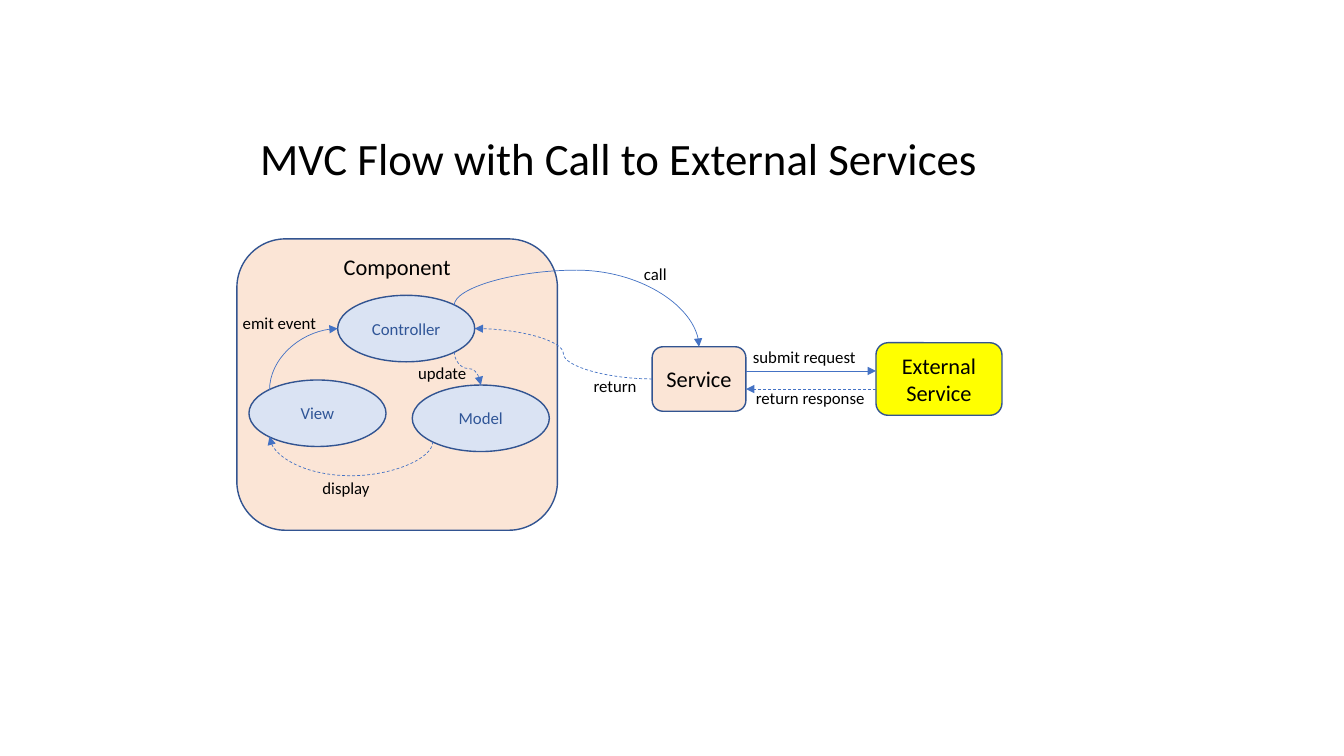
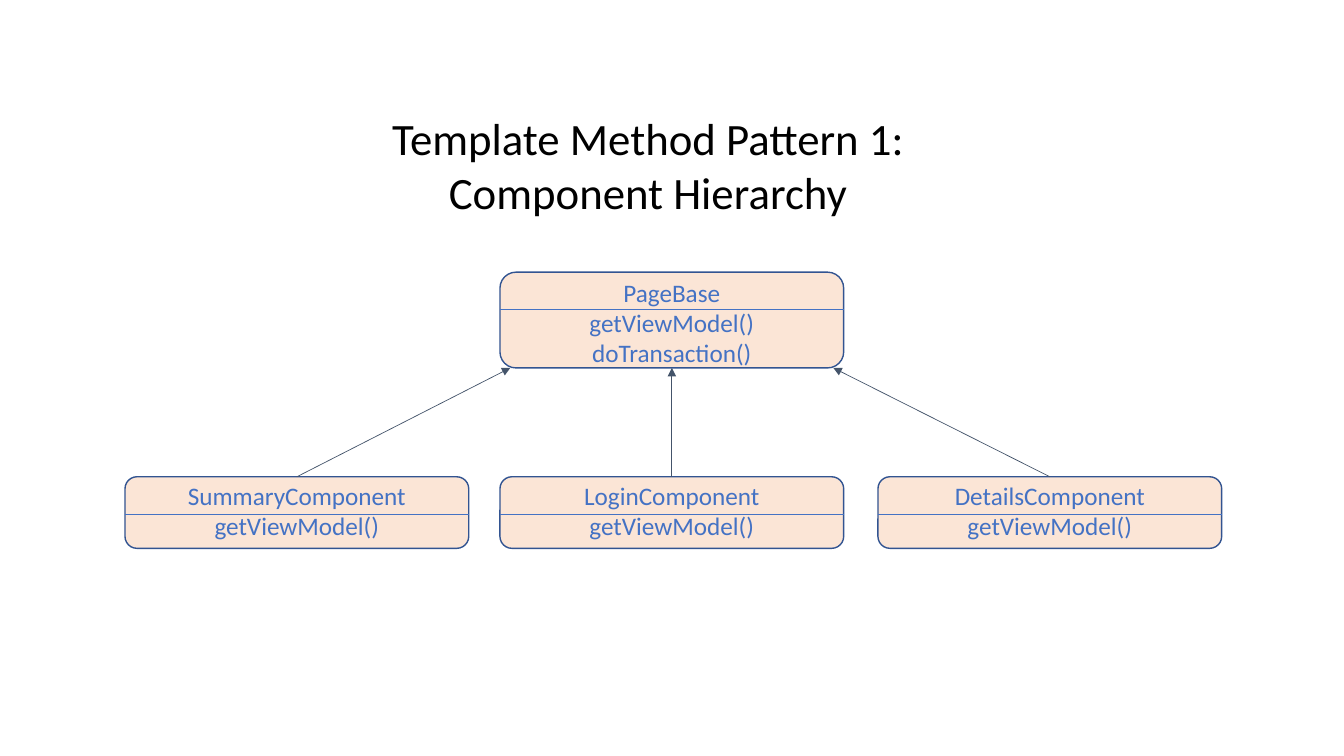
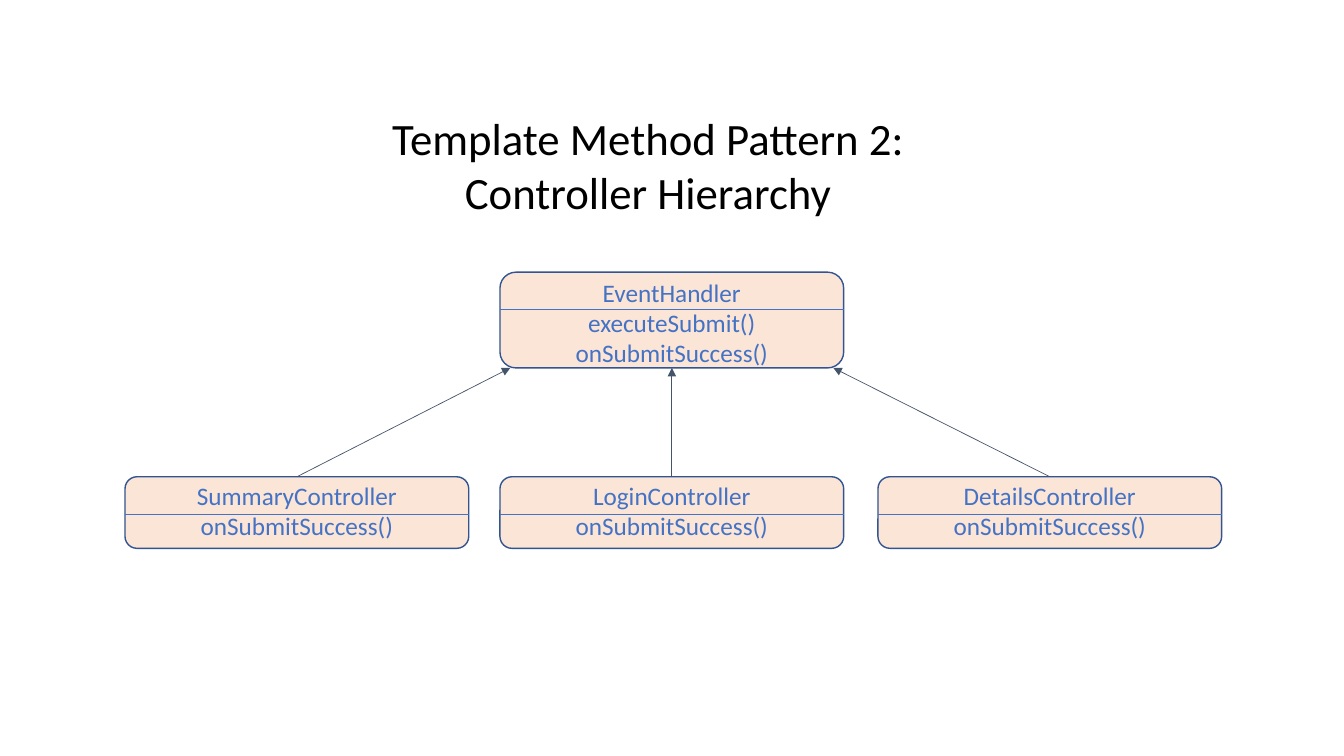
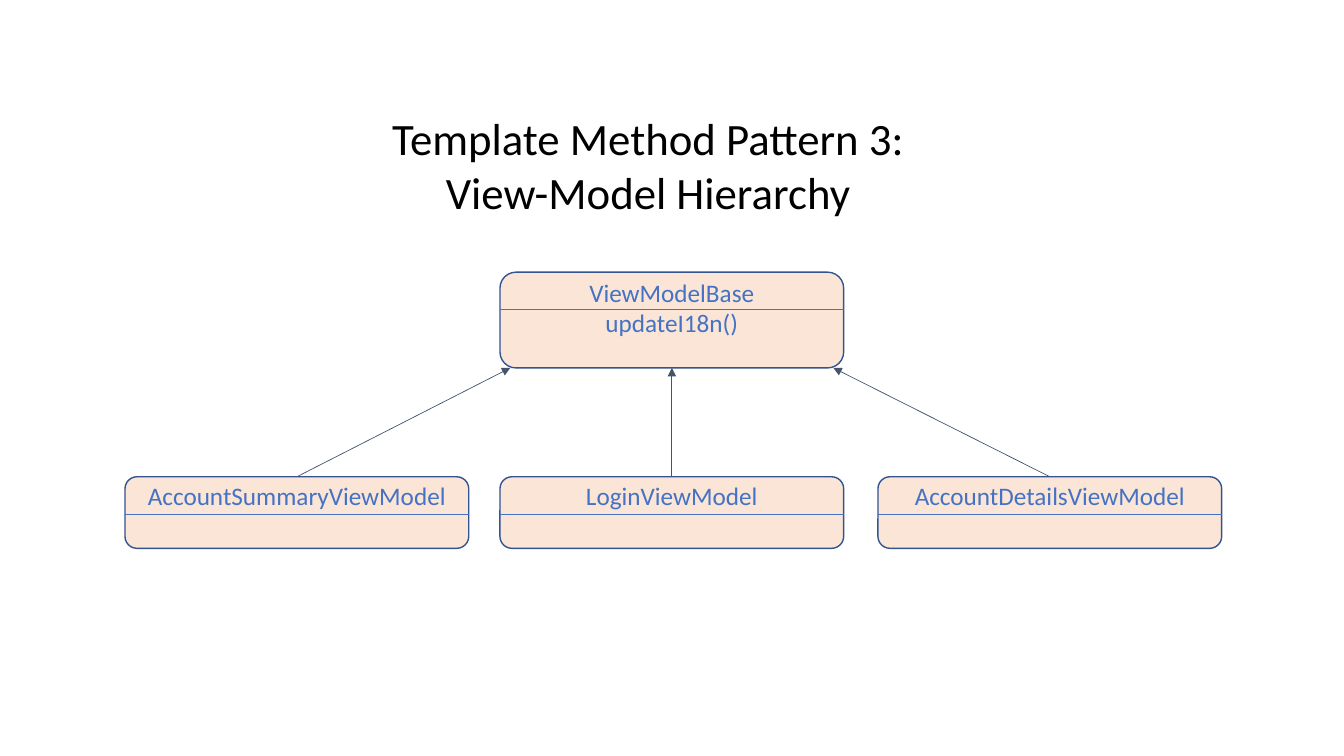
from collections import namedtuple

from lxml.etree import SubElement
from pptx import Presentation
from pptx.dml.color import RGBColor
from pptx.enum.dml import MSO_LINE_DASH_STYLE as Dash
from pptx.enum.shapes import MSO_AUTO_SHAPE_TYPE as Shape, MSO_CONNECTOR_TYPE as Link
from pptx.enum.text import MSO_ANCHOR as Anchor, PP_ALIGN as Align
from pptx.oxml.ns import qn
from pptx.util import Inches, Pt

CELL = 0.1
COLUMNS, ROWS = 133.33, 75
FONT = "Calibri"
BLACK, EDGE, BLUE, NAVY, SLATE = "000000", "325491", "4472C4", "2F5597", "44546A"
PEACH, PALE, YELLOW = "FBE5D6", "DAE3F3", "FFFF00"


class Box(namedtuple("Box", "left top width height")):
    def inside(self, left, top, width, height):
        return Box(self.left + left, self.top + top, width, height)

    def point(self, across, down):
        return self.left + across * self.width, self.top + down * self.height


PAGE = Box(0, 0, COLUMNS, ROWS)


def cells(*values):
    return [Inches(value * CELL) for value in values]


def color(text):
    return RGBColor.from_string(text)


def write(frame, lines, size, ink, align, anchor):
    frame.word_wrap = True
    frame.vertical_anchor = anchor
    frame.text = "\n".join(lines)
    for para in frame.paragraphs:
        para.alignment = align
        for span in para.runs:
            span.font.name = FONT
            span.font.size = Pt(size)
            span.font.color.rgb = color(ink)


def add_title(page, box, lines, align):
    title = page.shapes.title
    title.left, title.top, title.width, title.height = cells(*box)
    write(title.text_frame, lines, 32, BLACK, align, Anchor.TOP)


def add_label(page, box, text):
    label = page.shapes.add_textbox(*cells(*box))
    write(label.text_frame, [text], 12, BLACK, Align.LEFT, Anchor.TOP)


def add_node(shapes, kind, box, lines, fill, size, ink, anchor=Anchor.MIDDLE):
    node = shapes.add_shape(kind, *cells(*box))
    node.shadow.inherit = False
    node.fill.solid()
    node.fill.fore_color.rgb = color(fill)
    node.line.color.rgb = color(EDGE)
    node.line.width = Pt(1)
    if anchor == Anchor.TOP:
        node.text_frame.margin_top = 0
    write(node.text_frame, lines, size, ink, Align.CENTER, anchor)


def add_line(shapes, start, end, ink=BLUE, kind=Link.STRAIGHT, dashed=False, arrow=True):
    line = shapes.add_connector(kind, *cells(*start, *end))
    line.line.color.rgb = color(ink)
    line.line.width = Pt(0.5)
    if dashed:
        line.line.dash_style = Dash.DASH
    properties = line._element.spPr
    if arrow:
        SubElement(properties.find(qn("a:ln")), qn("a:tailEnd"), type="triangle")
    SubElement(properties, qn("a:effectLst"))
    return line


def add_upright_curve(shapes, start, end, bend=None, dashed=False):
    (x1, y1), (x2, y2) = start, end
    middle_x, middle_y = (x1 + x2) / 2, (y1 + y2) / 2
    half_x, half_y = (y1 - y2) / 2, (x2 - x1) / 2
    curve = add_line(shapes, (middle_x - half_x, middle_y - half_y),
                     (middle_x + half_x, middle_y + half_y),
                     kind=Link.CURVE, dashed=dashed)
    properties = curve._element.spPr
    properties.find(qn("a:xfrm")).set("rot", str(270 * 60000))
    geometry = properties.find(qn("a:prstGeom"))
    if bend is None:
        geometry.set("prst", "curvedConnector2")
    else:
        share = round((bend - y1) / (y2 - y1) * 100000)
        SubElement(geometry.find(qn("a:avLst")), qn("a:gd"), name="adj1", fmla=f"val {share}")


def add_component(page, box):
    add_node(page.shapes, Shape.ROUNDED_RECTANGLE, box, ["Component"],
             PEACH, 16, BLACK, Anchor.TOP)
    spots = {"Controller": (10, 5.6), "Model": (17.4, 14.5), "View": (1.2, 14)}
    ovals = {name: box.inside(*spot, 13.6, 6.6) for name, spot in spots.items()}
    for name, oval in ovals.items():
        add_node(page.shapes, Shape.OVAL, oval, [name], PALE, 12, NAVY)
    controller, model, view = ovals.values()

    add_upright_curve(page.shapes, view.point(0.15, 0.15), controller.point(0, 0.5))
    start, end = controller.point(0.85, 0.85), model.point(0.5, 0)
    add_upright_curve(page.shapes, start, end, (start[1] + end[1]) / 2, dashed=True)
    add_upright_curve(page.shapes, model.point(0.15, 0.85), view.point(0.15, 0.85),
                      box.top + 23.5, dashed=True)
    for text, left, top in (("emit event", -0.4, 6.8), ("update", 17, 11.8), ("display", 7.5, 23.2)):
        add_label(page, box.inside(left, top, 10, 3), text)
    return controller


def add_services(page, box):
    service = box.inside(6.8, 1, 9.3, 6.4)
    external = box.inside(29, 0.6, 12.5, 7.2)
    add_node(page.shapes, Shape.ROUNDED_RECTANGLE, service, ["Service"], PEACH, 16, BLACK)
    add_node(page.shapes, Shape.ROUNDED_RECTANGLE, external, ["External Service"],
             YELLOW, 16, BLACK)
    request, response = box.top + 3.4, box.top + 5.2
    right, left = service.left + service.width, external.left
    add_line(page.shapes, (right, request), (left, request))
    add_line(page.shapes, (left, response), (right, response), dashed=True)
    add_label(page, box.inside(15.8, 0.5, 13.2, 3), "submit request")
    add_label(page, box.inside(16.1, 4.6, 13.7, 3), "return response")
    return service


def add_flow(page, box):
    controller = add_component(page, box.inside(0, 0, 31.8, 28.9))
    service = add_services(page, box.inside(34.4, 9.7, 41.5, 7.8))
    add_upright_curve(page.shapes, controller.point(0.85, 0.15), service.point(0.5, 0),
                      box.top + 3.1)
    add_line(page.shapes, service.point(0, 0.5), controller.point(1, 0.5),
             kind=Link.CURVE, dashed=True)
    add_label(page, box.inside(39.4, 2, 6, 3), "call")
    add_label(page, box.inside(34.4, 13.1, 7.3, 3), "return")


def add_class(page, box, lines):
    group = page.shapes.add_group_shape()
    add_node(group.shapes, Shape.ROUNDED_RECTANGLE, box, lines, PEACH, 18, BLUE, Anchor.TOP)
    divider = box.top + 3.7
    add_line(group.shapes, (box.left, divider), (box.left + box.width, divider), arrow=False)


def add_hierarchy(page, box, parent_lines, children):
    parent = box.inside(37.2, 0, 34.1, 9.5)
    add_class(page, parent, parent_lines)
    for lines, left, share in zip(children, (0, 37.2, 74.7), (0.03, 0.5, 0.97)):
        child = box.inside(left, 20.3, 34.1, 7.1)
        add_class(page, child, lines)
        add_line(page.shapes, child.point(0.5, 0), parent.point(share, 1), SLATE)


HIERARCHIES = [
    ("Component Hierarchy", ["PageBase", "getViewModel()", "doTransaction()"],
     [[name, "getViewModel()"]
      for name in ("SummaryComponent", "LoginComponent", "DetailsComponent")]),
    ("Controller Hierarchy", ["EventHandler", "executeSubmit()", "onSubmitSuccess()"],
     [[name, "onSubmitSuccess()"]
      for name in ("SummaryController", "LoginController", "DetailsController")]),
    ("View-Model Hierarchy", ["ViewModelBase", "updateI18n()"],
     [["AccountSummaryViewModel"], ["LoginViewModel"], ["AccountDetailsViewModel"]]),
]


def main():
    deck = Presentation()
    deck.slide_width, deck.slide_height = cells(COLUMNS, ROWS)
    title_only = deck.slide_layouts[5]

    page = deck.slides.add_slide(title_only)
    add_title(page, PAGE.inside(24.8, 12.5, 74.1, 6.4),
              ["MVC Flow with Call to External Services"], Align.LEFT)
    add_flow(page, PAGE.inside(23.5, 23.7, 75.9, 28.9))

    for number, (name, parent, children) in enumerate(HIERARCHIES, 1):
        page = deck.slides.add_slide(title_only)
        add_title(page, PAGE.inside(28.1, 10.5, 72.4, 11.8),
                  [f"Template Method Pattern {number}:", name], Align.CENTER)
        add_hierarchy(page, PAGE.inside(12.4, 27, 108.8, 27.4), parent, children)

    deck.save("out.pptx")


if __name__ == "__main__":
    main()
